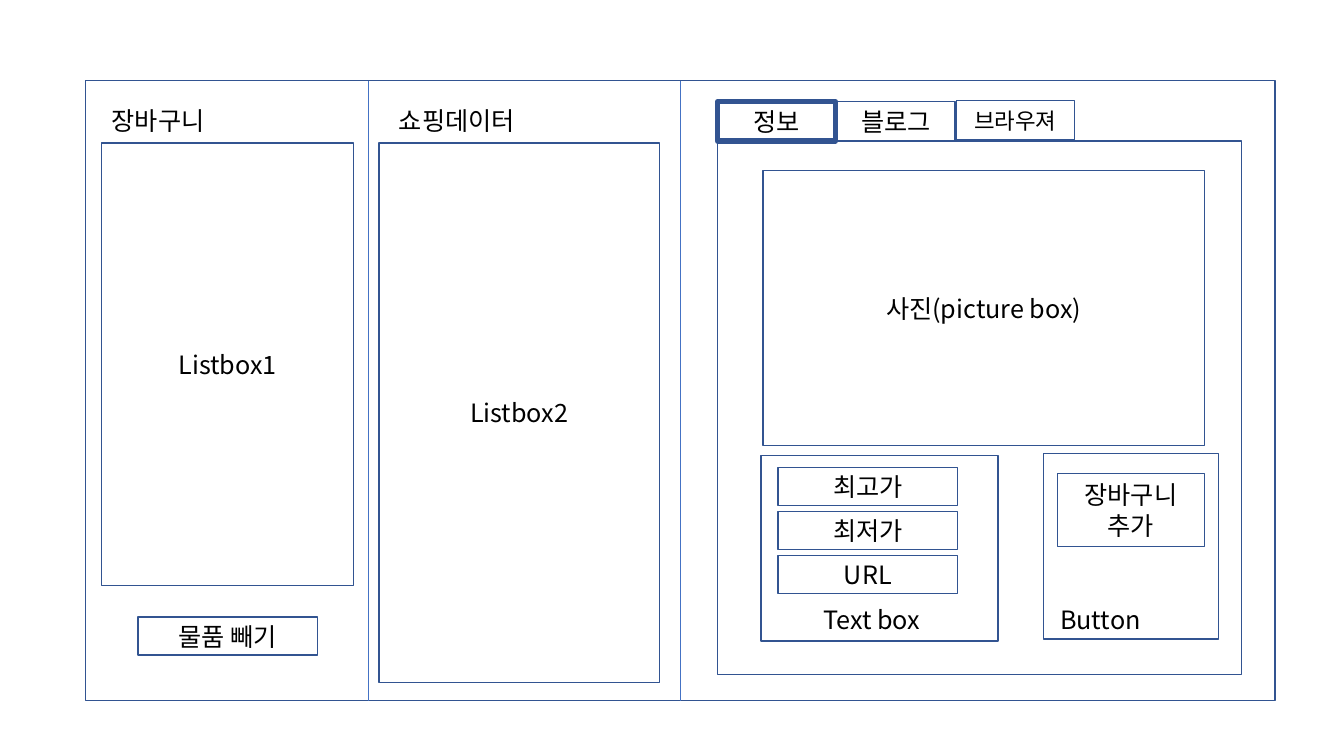
"""Build the wireframe slide of a shopping basket window."""
from lxml.etree import SubElement
from pptx import Presentation
from pptx.dml.color import RGBColor
from pptx.enum.shapes import MSO_CONNECTOR, MSO_SHAPE
from pptx.enum.text import MSO_ANCHOR, MSO_AUTO_SIZE, PP_ALIGN
from pptx.oxml.ns import qn
from pptx.util import Pt

COLORS = {"outline": "325491", "divider": "4472C4", "text": "000000"}
FONT = "Noto Sans CJK KR"


def write(frame, text, size, align):
    """Fill a text frame with one styled paragraph."""
    frame.word_wrap = True
    paragraph = frame.paragraphs[0]
    paragraph.text = text
    paragraph.alignment = align
    paragraph.font.size = Pt(size)
    paragraph.font.color.rgb = RGBColor.from_string(COLORS["text"])
    paragraph.font.name = FONT
    defaults = paragraph._p.pPr.find(qn("a:defRPr"))
    SubElement(defaults, qn("a:ea")).set("typeface", FONT)


def add_box(shapes, left, top, width, height, text="", size=18, weight=1):
    """Add an unfilled rectangle with an optional centred caption."""
    box = shapes.add_shape(MSO_SHAPE.RECTANGLE, Pt(left), Pt(top), Pt(width), Pt(height))
    box.shadow.inherit = False
    box.fill.background()
    box.line.color.rgb = RGBColor.from_string(COLORS["outline"])
    box.line.width = Pt(weight)
    if text:
        box.text_frame.vertical_anchor = MSO_ANCHOR.MIDDLE
        write(box.text_frame, text, size, PP_ALIGN.CENTER)
    return box


def add_label(shapes, left, top, width, text):
    """Add a left-aligned heading that grows with its text."""
    label = shapes.add_textbox(Pt(left), Pt(top), Pt(width), Pt(29))
    write(label.text_frame, text, 18, PP_ALIGN.LEFT)
    label.text_frame.auto_size = MSO_AUTO_SIZE.SHAPE_TO_FIT_TEXT


def add_divider(shapes, x, top, bottom):
    """Add a thin vertical line between two columns."""
    divider = shapes.add_connector(MSO_CONNECTOR.STRAIGHT, Pt(x), Pt(top), Pt(x), Pt(bottom))
    divider.line.color.rgb = RGBColor.from_string(COLORS["divider"])
    divider.line.width = Pt(0.5)
    SubElement(divider._element.spPr, qn("a:effectLst"))
    return divider


def add_lists(shapes):
    """Add the basket and shopping data columns."""
    add_box(shapes, 72.7, 102.2, 180, 316.1, "Listbox1")
    add_label(shapes, 72.7, 72, 114.5, "장바구니")
    add_box(shapes, 270.7, 102.2, 200.2, 385.2, "Listbox2")
    add_label(shapes, 277.9, 72, 114.5, "쇼핑데이터")
    add_box(shapes, 98.6, 440.6, 128.2, 27.4, "물품 빼기")


def add_tabs(shapes):
    """Add the tabbed page with its selected first tab and picture area."""
    add_box(shapes, 512.6, 100.8, 374.4, 380.9)
    tabs = [("정보", 72.7, 18, 3.75), ("블로그", 72.7, 18, 1), ("브라우져", 72, 16, 1)]
    for index, (name, top, size, weight) in enumerate(tabs):
        add_box(shapes, 512.6 + index * 85.3, top, 84.2, 28.1, name, size, weight)
    add_box(shapes, 545, 121.7, 315.4, 196.6, "사진(picture box)")


def add_details(shapes):
    """Add the grouped text boxes and the button panel."""
    details = shapes.add_group_shape().shapes
    for index, name in enumerate(["최고가", "최저가", "URL"]):
        add_box(details, 555.8, 333.9 + index * 31.4, 128.2, 27.4, name)
    add_box(details, 543.6, 325.4, 169.2, 132.5)
    add_label(details, 581, 428.4, 113, "Text box")

    add_box(shapes, 755.3, 338.4, 105.1, 51.8, "장바구니 추가")
    add_box(shapes, 745.2, 324, 125.3, 132.5)
    add_label(shapes, 750.2, 428.4, 113, "Button")


def main():
    """Build and save the slide."""
    deck = Presentation()
    deck.slide_width, deck.slide_height = Pt(960), Pt(540)
    shapes = deck.slides.add_slide(deck.slide_layouts[6]).shapes

    window = add_box(shapes, 61.2, 57.6, 849.6, 442.8)
    middle_divider = add_divider(shapes, 486, 57.6, 500.4)
    middle_divider.begin_connect(window, 0)
    middle_divider.end_connect(window, 2)
    add_divider(shapes, 262.8, 57.6, 500.4)

    add_lists(shapes)
    add_tabs(shapes)
    add_details(shapes)
    deck.save("out.pptx")


if __name__ == "__main__":
    main()
